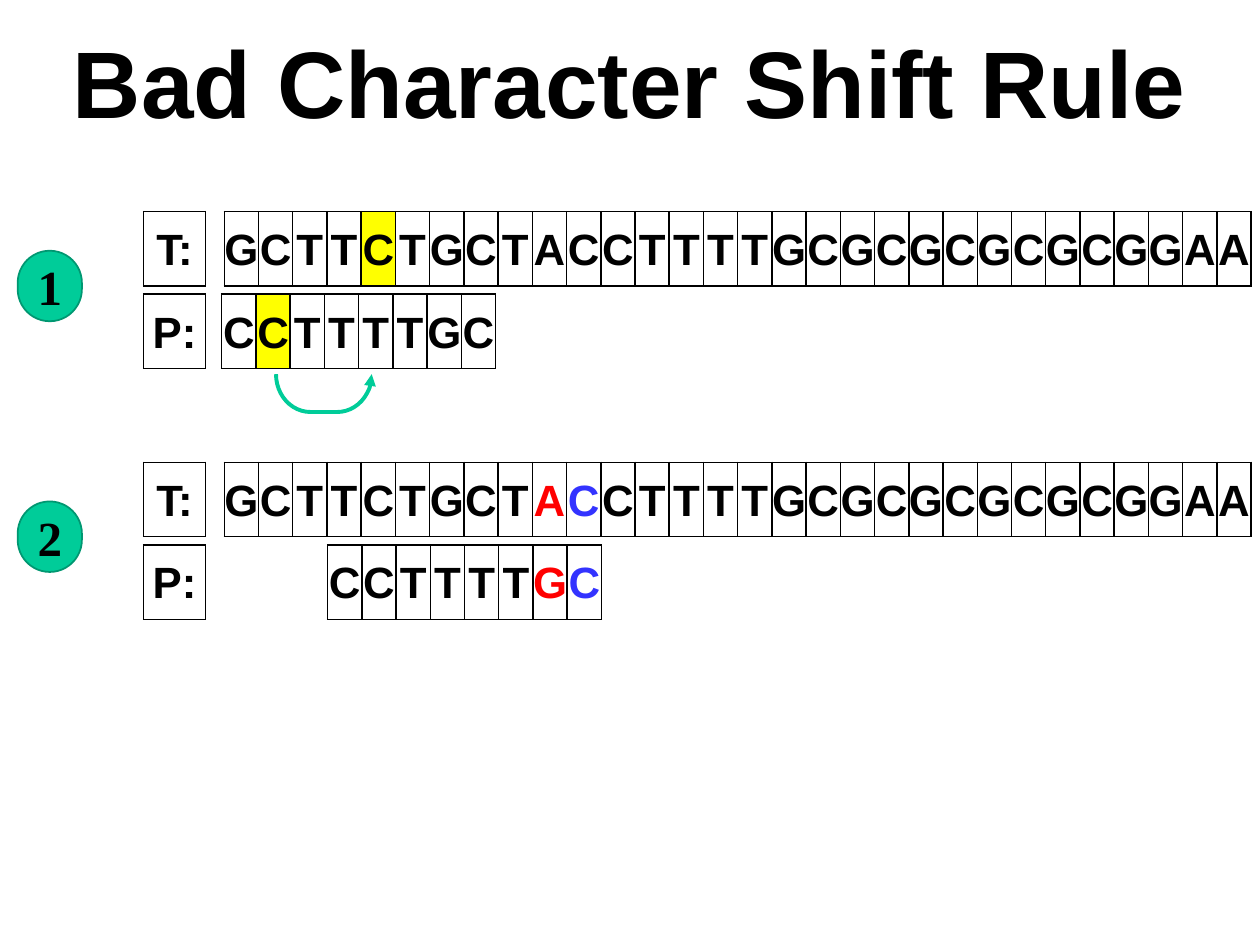
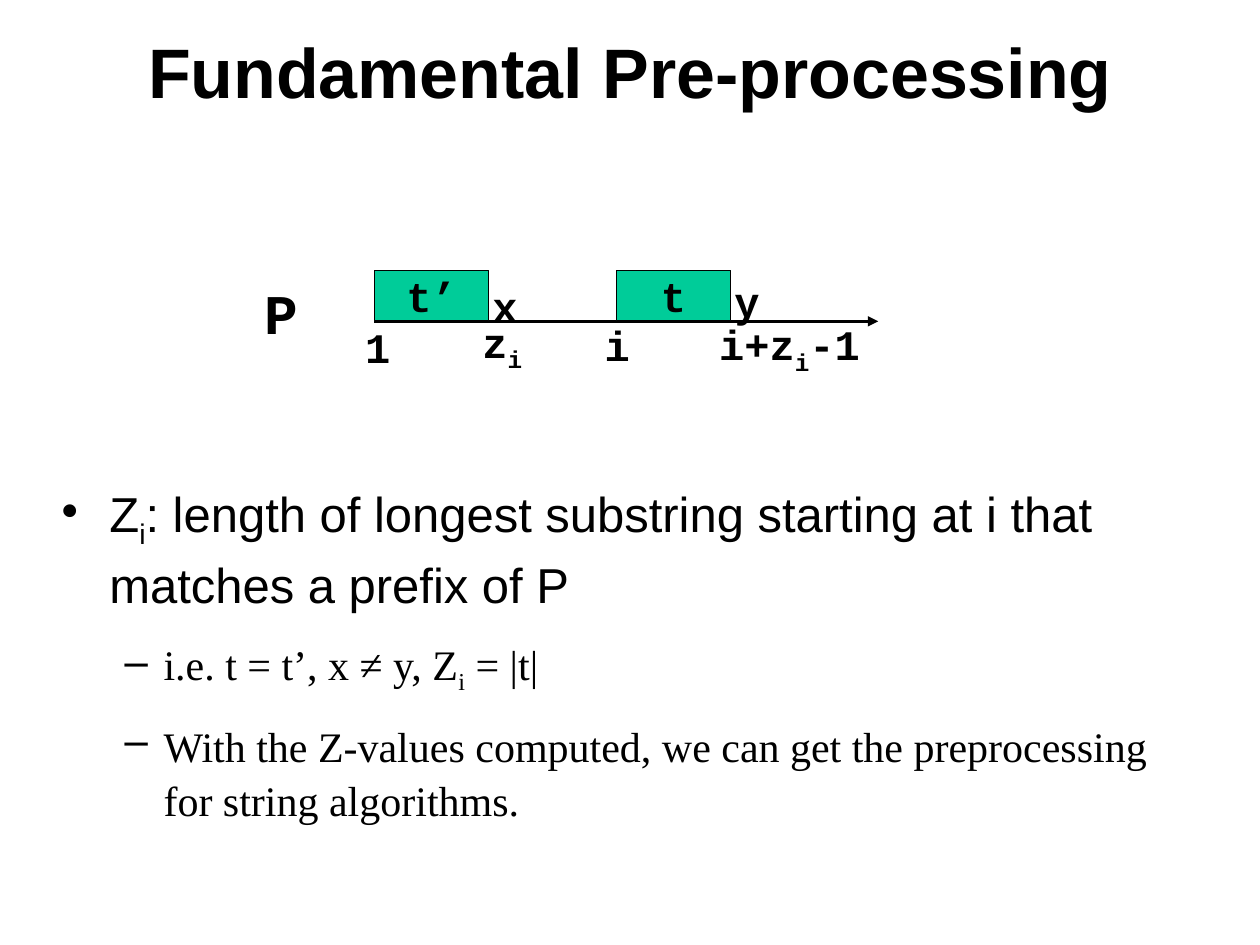
from pptx import Presentation
from pptx.dml.color import RGBColor
from pptx.enum.shapes import MSO_CONNECTOR as Connector, MSO_SHAPE as Shape
from pptx.enum.text import MSO_ANCHOR as Anchor, MSO_AUTO_SIZE as AutoSize, PP_ALIGN as Align
from pptx.oxml.ns import qn
from pptx.util import Inches, Pt
from lxml.etree import SubElement, Element

SLIDE_WIDTH, SLIDE_HEIGHT = Inches(10), Inches(7.5)
GRID_UNIT = SLIDE_WIDTH / 100
BLACK, GREEN, DARK_GREEN, YELLOW = "000000", "00CC99", "009771", "FFFF00"
MISMATCH, MATCH = "FF0000", "3333FF"
SANS, SERIF, MONO = "Arial", "Times New Roman", "Courier New"
GENOME = "GCTTCTGCTACCTTTTGCGCGCGCGCGGAA"
PATTERN = "CCTTTTGC"
BASE_WIDTH = 81.6 / len(GENOME)
ROW_HEIGHT = 5.9
ROW_STEP = 6.55


def color(value):
    """Turn a hex string into a colour."""
    return RGBColor.from_string(value)


def grid(*lengths):
    """Convert columns and rows of the 100 by 75 grid to slide lengths."""
    return [round(length * GRID_UNIT) for length in lengths]


def style(run, font, size, bold=True, ink=BLACK):
    """Set the look of a run."""
    run.font.name, run.font.size, run.font.bold = font, Pt(size), bold
    run.font.color.rgb = color(ink)


def write(paragraph, text, font, size, bold=True):
    """Write text whose bracketed parts are subscripts."""
    for index, part in enumerate(text.replace("]", "[").split("[")):
        if part:
            run = paragraph.add_run()
            run.text = part
            style(run, font, size, bold)
            if index % 2:
                run._r.get_or_add_rPr().set("baseline", "-25000")


def add_title(slide, text, box, size):
    """Add the centred slide title."""
    frame = slide.shapes.add_textbox(*grid(*box)).text_frame
    frame.word_wrap, frame.vertical_anchor = True, Anchor.MIDDLE
    frame.paragraphs[0].alignment = Align.CENTER
    write(frame.paragraphs[0], text, SANS, size)


def add_label(slide, text, box, size=24):
    """Add an unwrapped monospaced label."""
    frame = slide.shapes.add_textbox(*grid(*box)).text_frame
    frame.word_wrap, frame.auto_size = False, AutoSize.SHAPE_TO_FIT_TEXT
    write(frame.paragraphs[0], text, MONO, size)


def add_block(slide, kind, text, box, font, size, outline, line_width):
    """Add a green shape with centred text."""
    block = slide.shapes.add_shape(kind, *grid(*box))
    block.shadow.inherit = False
    block.fill.solid()
    block.fill.fore_color.rgb = color(GREEN)
    block.line.color.rgb, block.line.width = color(outline), Pt(line_width)
    frame = block.text_frame
    frame.word_wrap, frame.vertical_anchor = False, Anchor.MIDDLE
    frame.paragraphs[0].alignment = Align.CENTER
    write(frame.paragraphs[0], text, font, size)
    return block


def add_arrowhead(line, end):
    """Put a triangle on the headEnd or tailEnd of a line."""
    SubElement(line._get_or_add_ln(), qn(f"a:{end}"), type="triangle")


def add_borders(cell):
    """Draw a thin black line on each side of a cell."""
    properties = cell._tc.get_or_add_tcPr()
    for position, side in enumerate(("lnL", "lnR", "lnT", "lnB")):
        border = Element(qn(f"a:{side}"), w=str(Pt(1)))
        SubElement(SubElement(border, qn("a:solidFill")), qn("a:srgbClr"), val=BLACK)
        properties.insert(position, border)


def add_cells(slide, texts, left, top, width, inks=None, highlight=None):
    """Add a one-row table with a cell for each text."""
    inks = inks or {}
    box = grid(left, top, width * len(texts), ROW_HEIGHT)
    table = slide.shapes.add_table(1, len(texts), *box).table
    table.first_row = table.horz_banding = False
    for index, text in enumerate(texts):
        table.columns[index].width = grid(width)[0]
        cell = table.cell(0, index)
        cell.margin_left = cell.margin_right = cell.margin_top = cell.margin_bottom = 0
        cell.vertical_anchor = Anchor.MIDDLE
        if index == highlight:
            cell.fill.solid()
            cell.fill.fore_color.rgb = color(YELLOW)
        else:
            cell.fill.background()
        add_borders(cell)
        paragraph = cell.text_frame.paragraphs[0]
        paragraph.text = text
        paragraph.alignment, paragraph.line_spacing = Align.CENTER, 1.07
        paragraph.space_after = Pt(8)
        style(paragraph.runs[0], SANS, 25, ink=inks.get(index, BLACK))


def add_alignment(slide, number, top, pattern_left, genome_marks, pattern_marks):
    """Add a numbered step with the text above the pattern."""
    rows = ("T:", GENOME, 17.8, genome_marks), ("P:", PATTERN, pattern_left, pattern_marks)
    for index, (name, bases, left, marks) in enumerate(rows):
        row_top = top + index * ROW_STEP
        add_cells(slide, [name], 11.4, row_top, 4.9)
        add_cells(slide, bases, left, row_top, BASE_WIDTH, **marks)
    badge = add_block(slide, Shape.ROUNDED_RECTANGLE, number, (1.4, top + 3.1, 5.1, 5.6),
                      SERIF, 28, DARK_GREEN, 1)
    badge.adjustments[0] = 0.5


def add_shift_arrow(slide, box):
    """Add the curved arrow that shows the shift."""
    arrow = slide.shapes.add_shape(Shape.RIGHT_BRACKET, *grid(*box))
    arrow.shadow.inherit = False
    arrow.rotation, arrow.adjustments[0] = 90, 0.91
    arrow.fill.background()
    arrow.line.color.rgb, arrow.line.width = color(GREEN), Pt(2.25)
    add_arrowhead(arrow.line, "headEnd")


def add_axis(slide, start, end, row):
    """Add the horizontal arrow for the string."""
    left, right, y = grid(start, end, row)
    axis = slide.shapes.add_connector(Connector.STRAIGHT, left, y, right, y)
    axis.line.color.rgb, axis.line.width = color(BLACK), Pt(1.5)
    add_arrowhead(axis.line, "tailEnd")
    SubElement(axis._element.spPr, qn("a:effectLst"))


def add_bullets(slide, box, items):
    """Add the two-level bullet list."""
    levels = (("•", 0.38, 0.38, SANS, 28), ("–", 0.81, 0.31, SERIF, 24))
    frame = slide.shapes.add_textbox(*grid(*box)).text_frame
    frame.word_wrap = True
    for index, (level, text) in enumerate(items):
        mark, margin, hang, font, size = levels[level]
        paragraph = frame.add_paragraph() if index else frame.paragraphs[0]
        paragraph.level, paragraph.line_spacing = level, 1.07
        paragraph.space_before, paragraph.space_after = Pt(6 if index else 0), Pt(6)
        properties = paragraph._p.get_or_add_pPr()
        properties.set("marL", str(Inches(margin)))
        properties.set("indent", str(-Inches(hang)))
        SubElement(properties, qn("a:buChar"), char=mark)
        write(paragraph, text, font, size, bold=False)


def build_shift_rule(slide):
    """Build the slide on the bad character rule."""
    add_title(slide, "Bad Character Shift Rule", (4, 1.4, 91.9, 10), 54)
    add_alignment(slide, "1", 16.8, 17.6, {"highlight": 4}, {"highlight": 1})
    add_alignment(slide, "2", 36.7, 26, {"inks": {9: MISMATCH, 10: MATCH}},
                  {"inks": {6: MISMATCH, 7: MATCH}})
    add_shift_arrow(slide, (24.2, 27.4, 3, 7.6))


def build_preprocessing(slide):
    """Build the slide on Z-values."""
    add_title(slide, "Fundamental Pre-processing", (7.5, 1.6, 85, 8), 40)
    add_bullets(slide, (3.9, 37.5, 90, 27.5), (
        (0, "Z[i]: length of longest substring starting at i that matches a prefix of P"),
        (1, "i.e. t = t’, x ≠ y, Z[i] = |t|"),
        (1, "With the Z-values computed, we can get the preprocessing for string algorithms."),
    ))
    add_axis(slide, 29.7, 69.7, 25.5)
    for text, left in (("t", 48.9), ("t’", 29.7)):
        add_block(slide, Shape.RECTANGLE, text, (left, 21.45, 9.1, 4), MONO, 24, BLACK, 0.75)
    add_label(slide, "P", (20, 21.6, 4.7, 6.4), 32)
    for text, left, top, width in (
        ("i", 47, 24.9, 4), ("x", 38.1, 21.8, 4), ("y", 57.3, 21.4, 4),
        ("i+z[i]-1", 56.1, 24.8, 13.4), ("z[i]", 37.3, 24.6, 5.4), ("1", 28, 25, 4),
    ):
        add_label(slide, text, (left, top, width, 5))


def main():
    """Build and save the presentation."""
    deck = Presentation()
    deck.slide_width, deck.slide_height = SLIDE_WIDTH, SLIDE_HEIGHT
    for build in (build_shift_rule, build_preprocessing):
        build(deck.slides.add_slide(deck.slide_layouts[6]))
    deck.save("out.pptx")


if __name__ == "__main__":
    main()
